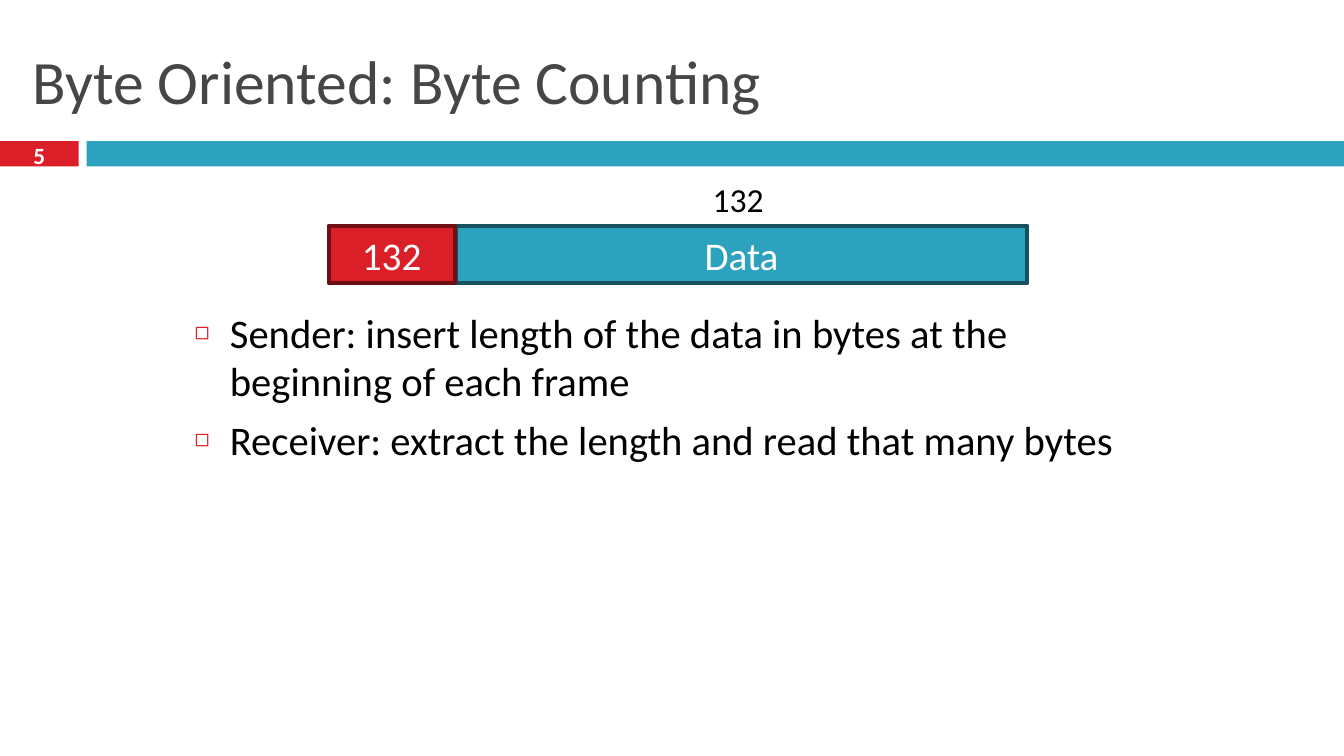
from pptx import Presentation
from pptx.dml.color import RGBColor
from pptx.enum.shapes import MSO_SHAPE
from pptx.enum.text import MSO_ANCHOR, MSO_AUTO_SIZE, PP_ALIGN
from pptx.oxml import parse_xml
from pptx.oxml.ns import nsdecls
from pptx.util import Inches, Pt

RECT = MSO_SHAPE.RECTANGLE
TOP, MIDDLE = MSO_ANCHOR.TOP, MSO_ANCHOR.MIDDLE
LEFT, CENTER = PP_ALIGN.LEFT, PP_ALIGN.CENTER
NO_FIT = MSO_AUTO_SIZE.NONE

THEME = {
    "font": "Calibri",
    "red": "DA1F28", "dark_red": "6D1014",
    "teal": "2DA2BF", "dark_teal": "175160",
    "title": "464646", "text": "000000", "light": "FFFFFF",
    "title_size": 44, "body_size": 29, "field_size": 28,
    "label_size": 24, "number_size": 16.6,
}


def set_text(sp, lines, size, color, align=LEFT, anchor=MIDDLE, wrap=True, bold=False):
    """Fill a shape with formatted paragraphs and return its text frame."""
    tf = sp.text_frame
    frame_format = {"auto_size": NO_FIT, "word_wrap": wrap, "vertical_anchor": anchor}
    for name, value in frame_format.items():
        setattr(tf, name, value)
    tf.text = "\n".join(lines)
    font_format = {"name": THEME["font"], "size": Pt(THEME[size]), "bold": bold}
    for p in tf.paragraphs:
        p.alignment = align
        for r in p.runs:
            for name, value in font_format.items():
                setattr(r.font, name, value)
            r.font.color.rgb = RGBColor.from_string(THEME[color])
    return tf


def add_box(box, fill, line=None):
    """Add a flat rectangle, outlined when a line colour is given."""
    sp = s.shapes.add_shape(RECT, *map(Inches, box))
    sp.shadow.inherit = False
    sp.fill.solid()
    sp.fill.fore_color.rgb = RGBColor.from_string(THEME[fill])
    if line:
        sp.line.color.rgb = RGBColor.from_string(THEME[line])
        sp.line.width = Pt(3)
    else:
        sp.line.fill.background()
    return sp


prs = Presentation()
prs.slide_width, prs.slide_height = Inches(13.33), Inches(7.5)
s = prs.slides.add_slide(prs.slide_layouts[1])
title, body = s.placeholders
for sp, box in ((title, (0.22, 0.25, 12.89, 1.08)), (body, (1.83, 3, 9.67, 4.33))):
    sp.left, sp.top, sp.width, sp.height = map(Inches, box)

# Title and header band
set_text(title, ["Byte Oriented: Byte Counting"], "title_size", "title")
add_box((0, 1.4, 0.78, 0.25), "red")
add_box((0.86, 1.4, 12.47, 0.25), "teal")
number = s.shapes.add_textbox(*map(Inches, (0, 1.37, 0.78, 0.33)))
set_text(number, ["5"], "number_size", "light", CENTER, bold=True)

# Sender and receiver rules
rules = [
    "Sender: insert length of the data in bytes at the beginning of each frame",
    "Receiver: extract the length and read that many bytes",
]
tf = set_text(body, rules, "body_size", "text", anchor=TOP)
for p in tf.paragraphs:
    p.space_before = Pt(7)
    pPr = p._p.get_or_add_pPr()
    pPr.set("marL", str(Inches(0.35)))
    pPr.set("indent", str(-Inches(0.35)))
    for bullet in (f'<a:buClr {nsdecls("a")}><a:srgbClr val="{THEME["red"]}"/></a:buClr>',
                   f'<a:buSzPct {nsdecls("a")} val="60000"/>',
                   f'<a:buChar {nsdecls("a")} char="\u25fb"/>'):
        pPr.append(parse_xml(bullet))

# Frame: data field first, so the length field's outline lies on top
fields = [
    ("Data", 4.52, 5.67, "teal", "dark_teal"),
    ("132", 3.26, 1.25, "red", "dark_red"),
]
for text, left, width, fill, line in fields:
    sp = add_box((left, 2.24, width, 0.57), fill, line)
    set_text(sp, [text], "field_size", "light", CENTER)
data_length = s.shapes.add_textbox(*map(Inches, (6.97, 1.73, 0.76, 0.5)))
set_text(data_length, ["132"], "label_size", "text", anchor=TOP, wrap=False)

prs.save("out.pptx")
